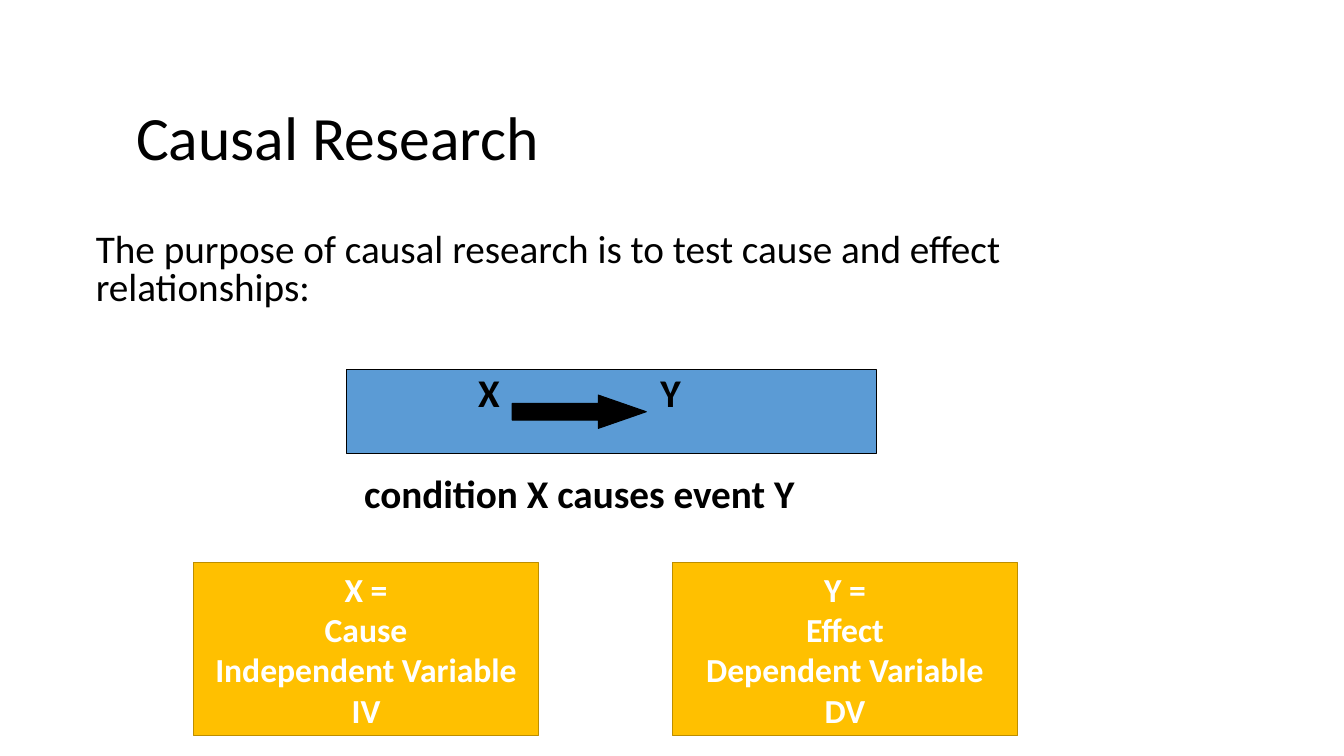
import pptx
import pptx.dml.color
import pptx.enum.shapes
import pptx.enum.text
import pptx.oxml.ns
import pptx.util
from lxml import etree

Inches = pptx.util.Inches
Pt = pptx.util.Pt
SHAPE = pptx.enum.shapes.MSO_SHAPE
ALIGN = pptx.enum.text.PP_ALIGN
ANCHOR = pptx.enum.text.MSO_ANCHOR
AUTO_SIZE = pptx.enum.text.MSO_AUTO_SIZE

BLACK, WHITE, BLUE = "000000", "FFFFFF", "5B9BD5"
GOLD, DARK_GOLD = "FFC000", "BD8E00"


def color(hex_string):
    return pptx.dml.color.RGBColor.from_string(hex_string)


def style_font(paragraph, size, hex_string, bold=False):
    font = paragraph.font
    font.name = "Calibri"
    font.size = Pt(size)
    font.bold = bold
    font.color.rgb = color(hex_string)


def set_box(shape, left, top, width, height):
    shape.left, shape.top = Inches(left), Inches(top)
    shape.width, shape.height = Inches(width), Inches(height)


def add_block(slide, kind, box, fill, outline, outline_width=0.75):
    block = slide.shapes.add_shape(kind, *map(Inches, box))
    block.shadow.inherit = False
    block.fill.solid()
    block.fill.fore_color.rgb = color(fill)
    block.line.color.rgb = color(outline)
    block.line.width = Pt(outline_width)
    return block


def remove_bullet(paragraph, margin):
    properties = paragraph._p.get_or_add_pPr()
    properties.set("marL", str(Inches(margin)))
    properties.set("indent", "0")
    etree.SubElement(properties, pptx.oxml.ns.qn("a:buNone"))


def fill_title(slide, box):
    title = slide.shapes.title
    set_box(title, *box)
    frame = title.text_frame
    frame.auto_size = AUTO_SIZE.NONE
    frame.vertical_anchor = ANCHOR.MIDDLE
    frame.text = "Causal Research"
    heading = frame.paragraphs[0]
    heading.alignment = ALIGN.LEFT
    heading.line_spacing = 0.9
    style_font(heading, 44, BLACK)


def fill_body(slide, box):
    """Write the purpose above and the statement below the room for the arrow."""
    body = slide.placeholders[1]
    set_box(body, *box)
    frame = body.text_frame
    frame.auto_size = AUTO_SIZE.NONE
    frame.vertical_anchor = ANCHOR.TOP
    frame.text = "\n".join([
        "The purpose of causal research is to test cause and effect relationships:",
        "condition X causes event Y",
    ])
    purpose, statement = frame.paragraphs
    for paragraph, margin, alignment, space, bold in (
        (purpose, 0.25, ALIGN.LEFT, 0, False),
        (statement, 0, ALIGN.CENTER, 121, True),
    ):
        remove_bullet(paragraph, margin)
        paragraph.alignment = alignment
        paragraph.line_spacing = 0.8
        paragraph.space_before = Pt(space)
        style_font(paragraph, 28, BLACK, bold)


def add_cause_arrow(slide, box):
    """Draw the blue bar with an arrow leading from X to Y."""
    left, top, width, height = box
    bar = add_block(slide, SHAPE.RECTANGLE, box, BLUE, BLACK)
    arrow = add_block(slide, SHAPE.RIGHT_ARROW,
                      (left + 1.64, top + 0.25, 1.33, 0.33), BLACK, BLACK)
    arrow.adjustments[0], arrow.adjustments[1] = 0.5, 1.44
    for part in (bar, arrow):
        slide.placeholders[1].element.addprevious(part.element)
    for letter, offset in (("X", 1.11), ("Y", 2.91)):
        label = slide.shapes.add_textbox(
            *map(Inches, (left + offset, top - 0.07, 0.6, 0.57)))
        frame = label.text_frame
        frame.word_wrap = True
        frame.text = letter
        frame.paragraphs[0].alignment = ALIGN.CENTER
        style_font(frame.paragraphs[0], 28, BLACK, bold=True)


def add_variable(slide, box, lines):
    variable = add_block(slide, SHAPE.RECTANGLE, box, GOLD, DARK_GOLD, 1)
    frame = variable.text_frame
    frame.word_wrap = True
    frame.vertical_anchor = ANCHOR.MIDDLE
    frame.text = "\n".join(lines)
    for paragraph in frame.paragraphs:
        paragraph.alignment = ALIGN.CENTER
        style_font(paragraph, 24, WHITE, bold=True)


def main():
    deck = pptx.Presentation()
    deck.slide_width, deck.slide_height = Inches(13.33), Inches(7.5)
    slide = deck.slides.add_slide(deck.slide_layouts[1])
    fill_title(slide, (1.25, 0.77, 8.08, 1.25))
    fill_body(slide, (0.6, 2.27, 10.29, 3.11))
    add_cause_arrow(slide, (3.44, 3.67, 5.25, 0.83))
    variables = [
        ("X =", "Cause", "Independent Variable", "IV"),
        ("Y =", "Effect", "Dependent Variable", "DV"),
    ]
    for column, lines in enumerate(variables):
        add_variable(slide, (1.92 + 4.75 * column, 5.58, 3.42, 1.72), lines)
    deck.save("out.pptx")


if __name__ == "__main__":
    main()
